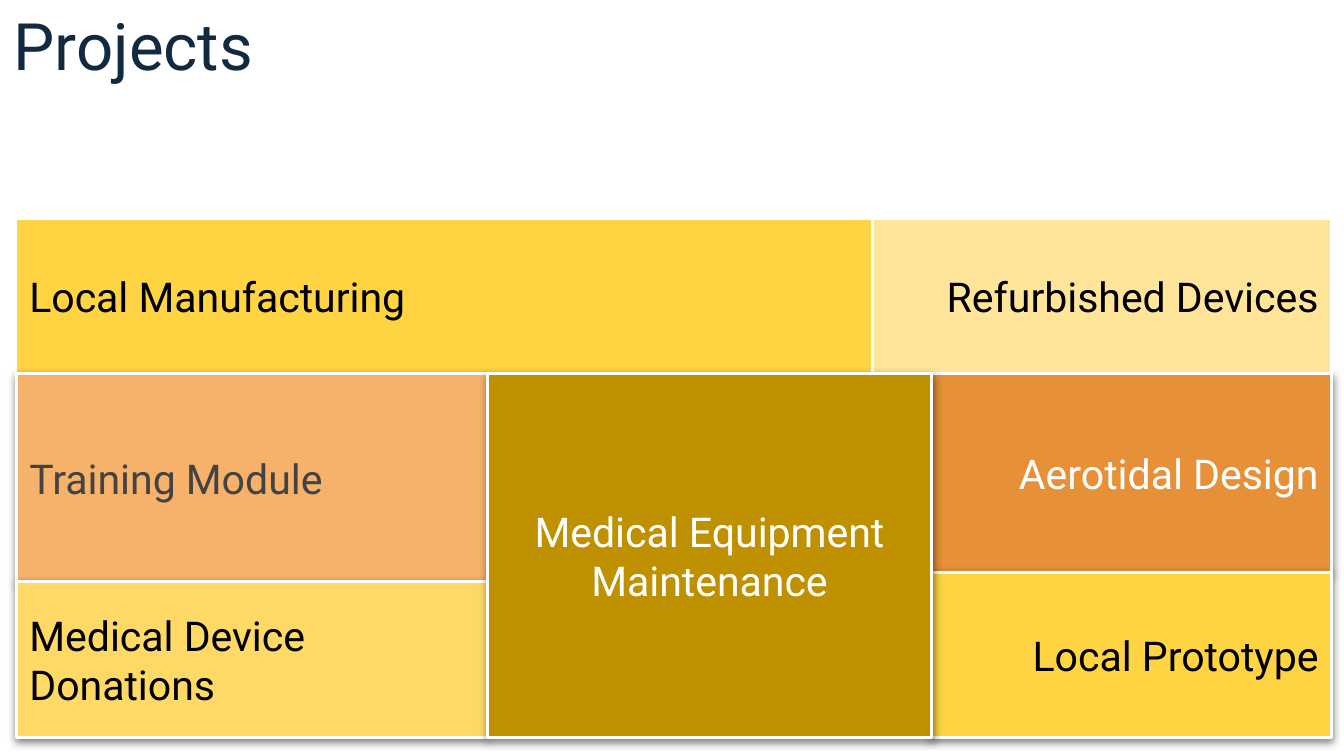
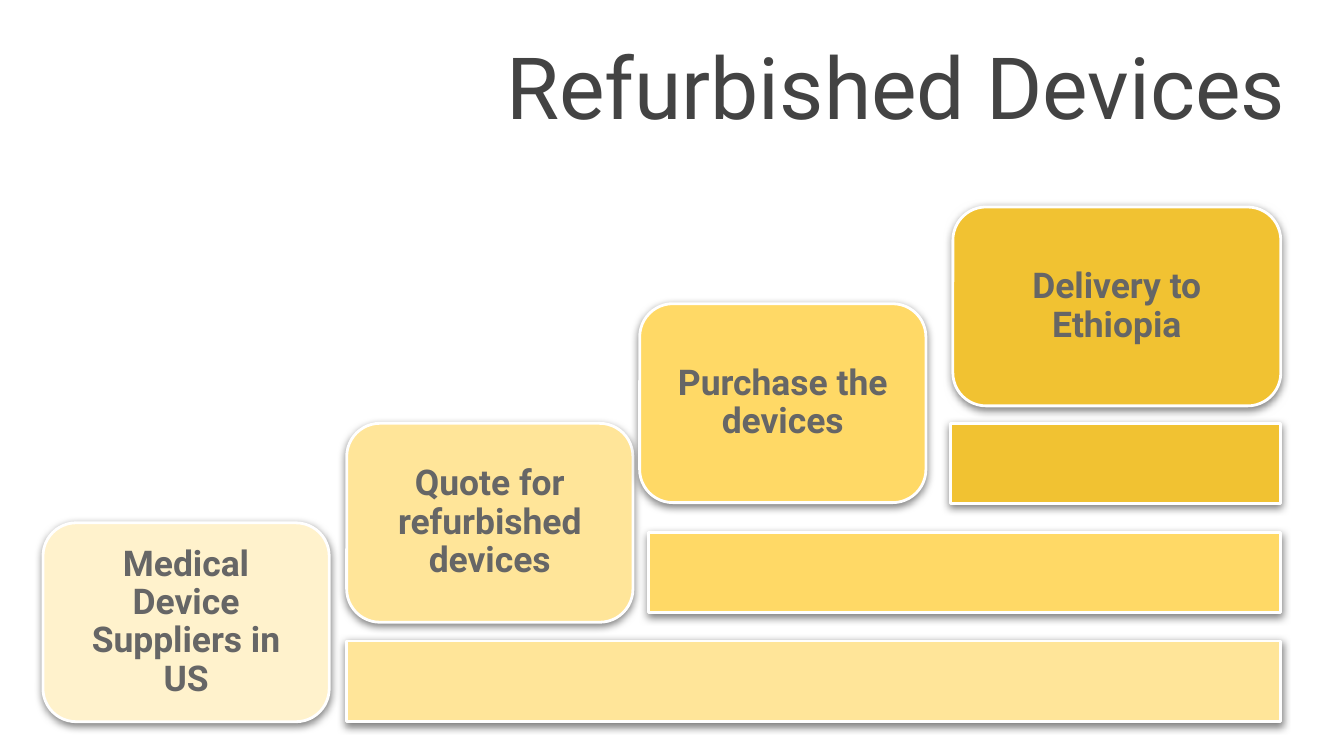
from lxml.etree import SubElement
from pptx import Presentation
from pptx.dml.color import RGBColor
from pptx.enum.shapes import MSO_SHAPE as Shape
from pptx.enum.text import MSO_ANCHOR as Anchor, MSO_AUTO_SIZE as AutoSize, PP_ALIGN as Align
from pptx.oxml.ns import qn
from pptx.util import Inches, Pt

FONT = "Roboto"
WHITE = RGBColor(0xFF, 0xFF, 0xFF)
BLACK = RGBColor(0x00, 0x00, 0x00)
NAVY = RGBColor(0x12, 0x2A, 0x40)
CHARCOAL = RGBColor(0x43, 0x43, 0x43)
GREY = RGBColor(0x66, 0x66, 0x66)
YELLOW = RGBColor(0xFF, 0xD4, 0x43)
CREAM = RGBColor(0xFF, 0xF2, 0xCC)
PALE_YELLOW = RGBColor(0xFF, 0xE5, 0x99)
SOFT_YELLOW = RGBColor(0xFF, 0xD9, 0x66)
GOLD = RGBColor(0xF1, 0xC2, 0x32)
DARK_GOLD = RGBColor(0xBF, 0x90, 0x00)
PEACH = RGBColor(0xF6, 0xB2, 0x6B)
ORANGE = RGBColor(0xE6, 0x91, 0x38)

COLUMNS, ROWS = 100, 56.25
TITLE_ONLY = 5


class Designer:
    """Draws on the current slide; lengths are grid columns and rows."""

    def __init__(self):
        self.deck = Presentation()
        self.deck.slide_width = Inches(10)
        self.deck.slide_height = Inches(5.625)
        self.page = None

    def place(self, left, top, width, height):
        column = self.deck.slide_width / COLUMNS
        row = self.deck.slide_height / ROWS
        return [round(n) for n in (left * column, top * row, width * column, height * row)]

    def add_text(self, shape, text, size, color, align, anchor, bold=False, spacing=1.0, inset=0.1):
        frame = shape.text_frame
        frame.word_wrap = True
        frame.auto_size = AutoSize.NONE
        frame.vertical_anchor = anchor
        frame.margin_left = frame.margin_right = Inches(inset)
        frame.margin_top = frame.margin_bottom = Inches(0.1)
        para = frame.paragraphs[0]
        para.alignment = align
        para.line_spacing = spacing
        span = para.add_run()
        span.text = text
        span.font.name = FONT
        span.font.size = Pt(size)
        span.font.bold = bold
        span.font.color.rgb = color

    def add_page(self, title, area, size, color, align, anchor):
        self.page = self.deck.slides.add_slide(self.deck.slide_layouts[TITLE_ONLY])
        heading = self.page.shapes.title
        heading.left, heading.top, heading.width, heading.height = self.place(*area)
        self.add_text(heading, title, size, color, align, anchor)

    def add_block(self, kind, area, fill, shadow=BLACK):
        block = self.page.shapes.add_shape(kind, *self.place(*area))
        block.fill.solid()
        block.fill.fore_color.rgb = fill
        block.line.color.rgb = WHITE
        block.line.width = Pt(1.5)
        block.shadow.inherit = False
        if shadow is not None:
            self.cast_shadow(block, shadow)
        return block

    def cast_shadow(self, block, color):
        effects = block.element.spPr.find(qn("a:effectLst"))
        outer = SubElement(effects, qn("a:outerShdw"), blurRad=str(Pt(4.5)), dist=str(Pt(1.5)),
                           dir="5400000", algn="bl", rotWithShape="0")
        tint = SubElement(outer, qn("a:srgbClr"), val=str(color))
        SubElement(tint, qn("a:alpha"), val="50000")

    def add_tile(self, text, edges, fill, color, align, shadow=BLACK):
        """Add a labelled rectangle given by its left, top, right and bottom edges."""
        left, top, right, bottom = edges
        tile = self.add_block(Shape.RECTANGLE, (left, top, right - left, bottom - top), fill, shadow)
        self.add_text(tile, text, 22, color, align, Anchor.MIDDLE)

    def add_step(self, text, area, fill):
        step = self.add_block(Shape.ROUNDED_RECTANGLE, area, fill)
        step.adjustments[0] = 0.167
        self.add_text(step, text, 19, GREY, Align.CENTER, Anchor.MIDDLE,
                      bold=True, spacing=0.9, inset=0.11)


def build_projects(designer):
    designer.add_page("Projects", (0, 0, 63.4, 7.2), 35, NAVY, Align.LEFT, Anchor.BOTTOM)
    start, inner_left, split, inner_right, end = 1.2, 36.3, 64.9, 69.3, 99.1
    top, middle, bottom = 16.3, 27.8, 54.9
    left_break, right_break = 43.3, 42.6
    tiles = [
        ("Local Manufacturing", (start, top, split, middle), YELLOW, BLACK, Align.LEFT, WHITE),
        ("Aerotidal Design", (inner_right, middle, end, right_break), ORANGE, WHITE, Align.RIGHT),
        ("Local Prototype", (inner_right, right_break, end, bottom), YELLOW, BLACK, Align.RIGHT),
        ("Refurbished Devices", (split, top, end, middle), PALE_YELLOW, BLACK, Align.RIGHT, None),
        ("Training Module", (start, middle, inner_left, left_break), PEACH, CHARCOAL, Align.LEFT),
        ("Medical Device Donations", (start, left_break, inner_left, bottom),
         SOFT_YELLOW, BLACK, Align.LEFT),
        ("Medical Equipment Maintenance", (inner_left, middle, inner_right, bottom),
         DARK_GOLD, WHITE, Align.CENTER),
    ]
    for tile in tiles:
        designer.add_tile(*tile)


def build_refurbished_devices(designer):
    designer.add_page("Refurbished Devices", (3.4, 1.5, 93.2, 8.7), 46, CHARCOAL,
                      Align.RIGHT, Anchor.TOP)
    steps = [
        ("Medical Device Suppliers in US", 3.2, 38.9, 21.3, CREAM),
        ("Quote for refurbished devices", 25.8, 31.5, 21.3, PALE_YELLOW),
        ("Purchase the devices", 47.6, 22.6, 21.3, SOFT_YELLOW),
        ("Delivery to Ethiopia", 70.9, 15.4, 24.4, GOLD),
    ]
    for text, left, top, width, fill in steps:
        designer.add_step(text, (left, top, width, 14.8), fill)

    bars_end = 95.3
    for level, fill in enumerate((PALE_YELLOW, SOFT_YELLOW, GOLD)):
        left = 25.8 + 22.45 * level
        designer.add_block(Shape.RECTANGLE, (left, 47.7 - 8.1 * level, bars_end - left, 6), fill)


def main():
    designer = Designer()
    build_projects(designer)
    build_refurbished_devices(designer)
    designer.deck.save("out.pptx")


if __name__ == "__main__":
    main()
